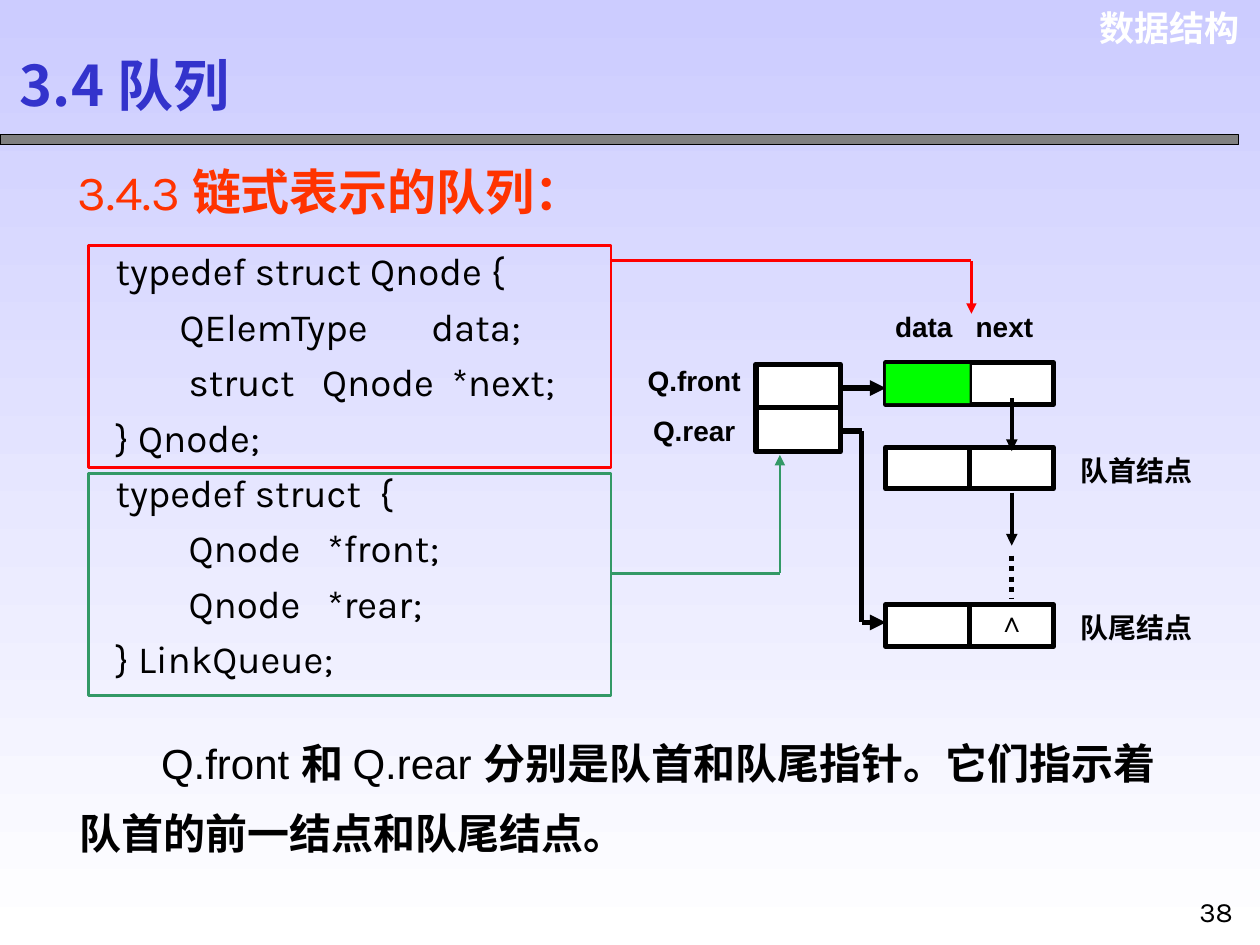
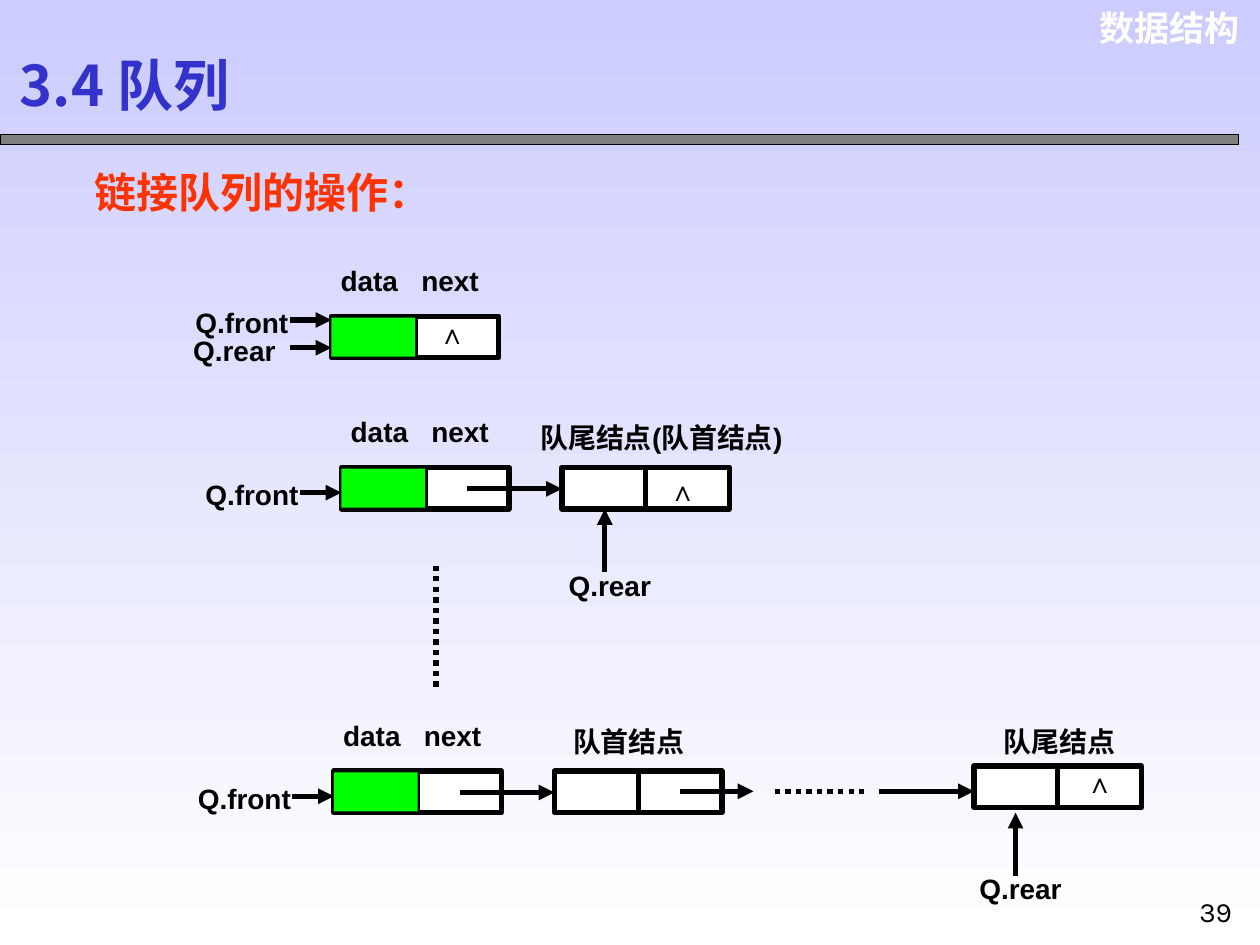
from collections import namedtuple

from lxml import etree
from pptx import Presentation
from pptx import util as u
from pptx.dml.color import RGBColor
from pptx.enum import dml, shapes, text
from pptx.oxml import ns

SKY = RGBColor(0xCC, 0xCC, 0xFF)
WHITE = RGBColor(0xFF, 0xFF, 0xFF)
BLACK = RGBColor(0, 0, 0)
GRAY = RGBColor(0x80, 0x80, 0x80)
INDIGO = RGBColor(0x33, 0x33, 0xCC)
ORANGE = RGBColor(0xFF, 0x33, 0)
RED = RGBColor(0xFF, 0, 0)
SEA = RGBColor(0x33, 0x99, 0x66)
GREEN = RGBColor(0, 0xFF, 0)

LATIN, CODE, CJK = "Arial", "Karla", "Noto Sans CJK SC"
CELL = u.Inches(0.1)
COLS, ROWS = 100, 75
NODE_W, NODE_H = 13.3, 3.3
HALF = NODE_W / 2
LABEL_H = 3.7
LEFT, CENTER, RIGHT = text.PP_ALIGN.LEFT, text.PP_ALIGN.CENTER, text.PP_ALIGN.RIGHT

Box = namedtuple("Box", "x y w h")
Span = namedtuple("Span", "words font bold")

CODE_LINES = [
    "typedef struct Qnode {",
    "       QElemType       data;",
    "        struct   Qnode  *next;",
    "} Qnode;",
    "typedef struct  {",
    "        Qnode   *front;",
    "        Qnode   *rear;",
    "} LinkQueue;",
]


def grid(*cells):
    return [u.Emu(round(cell * CELL)) for cell in cells]


def sub(parent, tag, **attributes):
    return etree.SubElement(parent, ns.qn(tag), attributes)


def add_text(page, box, lines, size=16, color=BLACK, font=LATIN, bold=True, align=LEFT,
             spacing=None, indent=0, tab=0, wrap=True, anchor=text.MSO_ANCHOR.TOP):
    frame = page.shapes.add_textbox(*grid(*box)).text_frame
    frame.word_wrap = wrap
    frame.vertical_anchor = anchor
    for index, line in enumerate(lines):
        para = frame.add_paragraph() if index else frame.paragraphs[0]
        para.alignment = align
        if spacing:
            para.line_spacing = spacing
        props = para._p.get_or_add_pPr()
        if indent:
            props.set("indent", str(grid(indent)[0]))
        if tab:
            sub(sub(props, "a:tabLst"), "a:tab", pos=str(grid(tab)[0]), algn="l")
        para.font.size = u.Pt(size)
        para.font.name = font
        para.font.bold = bold
        para.font.color.rgb = color
        sub(props.find(ns.qn("a:defRPr")), "a:ea", typeface=CJK)
        if isinstance(line, str):
            para.add_run().text = line
            continue
        for part in line:
            span = para.add_run()
            span.text = part.words
            span.font.name = part.font
            span.font.bold = part.bold


def add_rect(page, box, fill=None, line=None, width=3):
    rect = page.shapes.add_shape(shapes.MSO_SHAPE.RECTANGLE, *grid(*box))
    rect.shadow.inherit = False
    if fill is None:
        rect.fill.background()
    else:
        rect.fill.solid()
        rect.fill.fore_color.rgb = fill
    if line is None:
        rect.line.fill.background()
    else:
        rect.line.color.rgb = line
        rect.line.width = u.Pt(width)


def add_route(page, *points, color=BLACK, width=3, arrow=True, dotted=False):
    for start, end in zip(points, points[1:]):
        line = page.shapes.add_connector(shapes.MSO_CONNECTOR.STRAIGHT, *grid(*start, *end))
        line.line.color.rgb = color
        line.line.width = u.Pt(width)
        if dotted:
            line.line.dash_style = dml.MSO_LINE.ROUND_DOT
        if arrow and end is points[-1]:
            sub(line.line._get_or_add_ln(), "a:tailEnd", type="triangle")
        sub(line._element.spPr, "a:effectLst")


def add_frame(deck, number):
    page = deck.slides.add_slide(deck.slide_layouts[6])
    fill = page.background.fill
    fill.gradient()
    fill.gradient_angle = 270
    for stop, color in zip(fill.gradient_stops, (SKY, WHITE)):
        stop.color.rgb = color
    add_text(page, Box(85.7, 0, 13.7, 4.4), ["数据结构"], 20, WHITE, align=RIGHT)
    add_rect(page, Box(0, 10.7, 98.3, 0.8), GRAY, BLACK, 0.75)
    add_text(page, Box(0.6, 3, 35.7, 7.4), ["3.4 队列"], 32, INDIGO, CJK,
             anchor=text.MSO_ANCHOR.MIDDLE)
    add_text(page, Box(94.2, 70.5, 5, 4.2), [str(number)], font=CODE, bold=False)
    return page


def add_node(page, x, y, nil=None):
    add_rect(page, Box(x, y, NODE_W, NODE_H), WHITE, BLACK)
    add_route(page, (x + HALF, y), (x + HALF, y + NODE_H), arrow=False)
    if nil:
        add_text(page, Box(x + nil[0], y + nil[1], 5, LABEL_H), ["∧"], align=CENTER)


def add_head_node(page, x, y, nil=None):
    add_node(page, x, y, nil)
    add_rect(page, Box(x, y + 0.1, HALF, 3.1), GREEN)
    add_text(page, Box(x - 0.25, y - 4.7, 14.2, LABEL_H), ["data\tnext"], tab=6.4)


def add_caption(page, x, y, words):
    add_text(page, Box(x, y, 23.3, LABEL_H), [words])


def add_side_pointer(page, x, y, name, shift=0):
    add_text(page, Box(x - 12.5 + shift, y - 1.65, 10.8, LABEL_H), [name], align=CENTER)
    add_route(page, (x - 3.3, y), (x, y))


def add_rear_pointer(page, x, y):
    add_route(page, (x, y + 5), (x, y))
    add_text(page, Box(x - 5, y + 4.2, 10.8, LABEL_H), ["Q.rear"], align=CENTER)


def add_code_panel(page, box):
    add_text(page, Box(box.x + 1.2, box.y - 1.1, box.w - 0.9, box.h + 0.5),
             CODE_LINES, 22, font=CODE, bold=False, spacing=1.2)
    height = box.h / 2 - 0.25
    for top, color in ((box.y, RED), (box.y + height + 0.5, SEA)):
        add_rect(page, Box(box.x, top, box.w, height), line=color, width=1.5)


def add_queue_diagram(page, x, y):
    middle = x + 10
    add_head_node(page, x, y)
    add_node(page, x, y + 6.7)
    add_node(page, x, y + 19.2, (7.5, -0.5))
    for top in (y + 2.8, y + 10.3):
        add_route(page, (middle, top), (middle, top + 4.2), width=2.25)
    add_route(page, (middle, y + 15.3), (middle, y + 18.7), arrow=False, dotted=True)
    for top, words in ((6.7, "队首结点"), (19.2, "队尾结点")):
        add_caption(page, x + 14.5, y + top, words)
    for row, name in enumerate(("Q.front", "Q.rear")):
        add_text(page, Box(x - 20.5, y - 0.4 + 3.9 * row, 10.6, LABEL_H), [name], align=CENTER)
        add_rect(page, Box(x - 10.3, y + 0.1 + 3.45 * row, 6.7, 3.5), WHITE, BLACK)
    add_route(page, (x - 3.8, y + 2), (x, y + 2))
    add_route(page, (x - 3.6, y + 5.4), (x - 1.9, y + 5.4), (x - 1.9, y + 20.6), (x, y + 20.6))
    add_route(page, (x - 21.9, y - 8.1), (x + 6.8, y - 8.1), (x + 6.8, y - 3.9),
              color=RED, width=1.5)
    add_route(page, (x - 21.8, y + 16.7), (x - 8.4, y + 16.7), (x - 8.4, y + 7.3),
              color=SEA, width=1.5)


def add_empty_queue(page, x, y):
    add_head_node(page, x, y, (7.1, -0.5))
    add_side_pointer(page, x, y + 0.3, "Q.front")
    add_side_pointer(page, x, y + 2.5, "Q.rear", -0.6)


def add_linked_head(page, x, y, nil=None):
    add_head_node(page, x, y)
    add_side_pointer(page, x, y + 2, "Q.front")
    add_node(page, x + 17.5, y, nil)
    add_route(page, (x + 10, y + 1.7), (x + 17.5, y + 1.7))


def add_single_queue(page, x, y):
    add_linked_head(page, x, y, (7.1, 0))
    add_caption(page, x + 14.8, y - 4.2, "队尾结点(队首结点)")
    add_rear_pointer(page, x + 20.9, y + NODE_H)


def add_long_queue(page, x, y):
    tail, link = x + 50.8, y + 1.6
    add_linked_head(page, x, y)
    add_node(page, tail, y - 0.4, (7.5, -0.5))
    add_caption(page, x + 18, y - 4.2, "队首结点")
    add_caption(page, tail + 1.4, y - 4.2, "队尾结点")
    add_rear_pointer(page, tail + 3.3, y + NODE_H)
    add_route(page, (x + 27.5, link), (x + 33.3, link))
    add_route(page, (x + 35, link), (x + 42.5, link), arrow=False, dotted=True)
    add_route(page, (x + 43.3, link), (tail, link))


def build_structure_page(deck):
    page = add_frame(deck, 38)
    heading = [Span("3.4.3 ", CODE, False), Span("链式表示的队列：", LATIN, True)]
    add_text(page, Box(5.2, 12.3, 43.7, 5.7), [heading], 28, ORANGE, wrap=False)
    add_code_panel(page, Box(7, 19.5, 41.5, 35.7))
    add_queue_diagram(page, 70.3, 28.8)
    note = [
        Span("Q.front ", LATIN, False),
        Span("和 ", LATIN, True),
        Span("Q.rear ", LATIN, False),
        Span("分别是队首和队尾指针。它们指示着队首的前一结点和队尾结点。", LATIN, True),
    ]
    add_text(page, Box(5.3, 56.4, 89.3, 12.2), [note], 24, spacing=1.4, indent=6.5)


def build_operations_page(deck):
    page = add_frame(deck, 39)
    add_text(page, Box(6.5, 12.7, 28.6, 5), ["链接队列的操作："], 24, ORANGE, wrap=False)
    add_empty_queue(page, 26.3, 25.1)
    add_single_queue(page, 27.1, 37.1)
    add_route(page, (34.6, 44.9), (34.6, 54.9), arrow=False, dotted=True)
    add_long_queue(page, 26.5, 61.2)


def main():
    deck = Presentation()
    deck.slide_width, deck.slide_height = grid(COLS, ROWS)
    build_structure_page(deck)
    build_operations_page(deck)
    deck.save("out.pptx")


if __name__ == "__main__":
    main()
